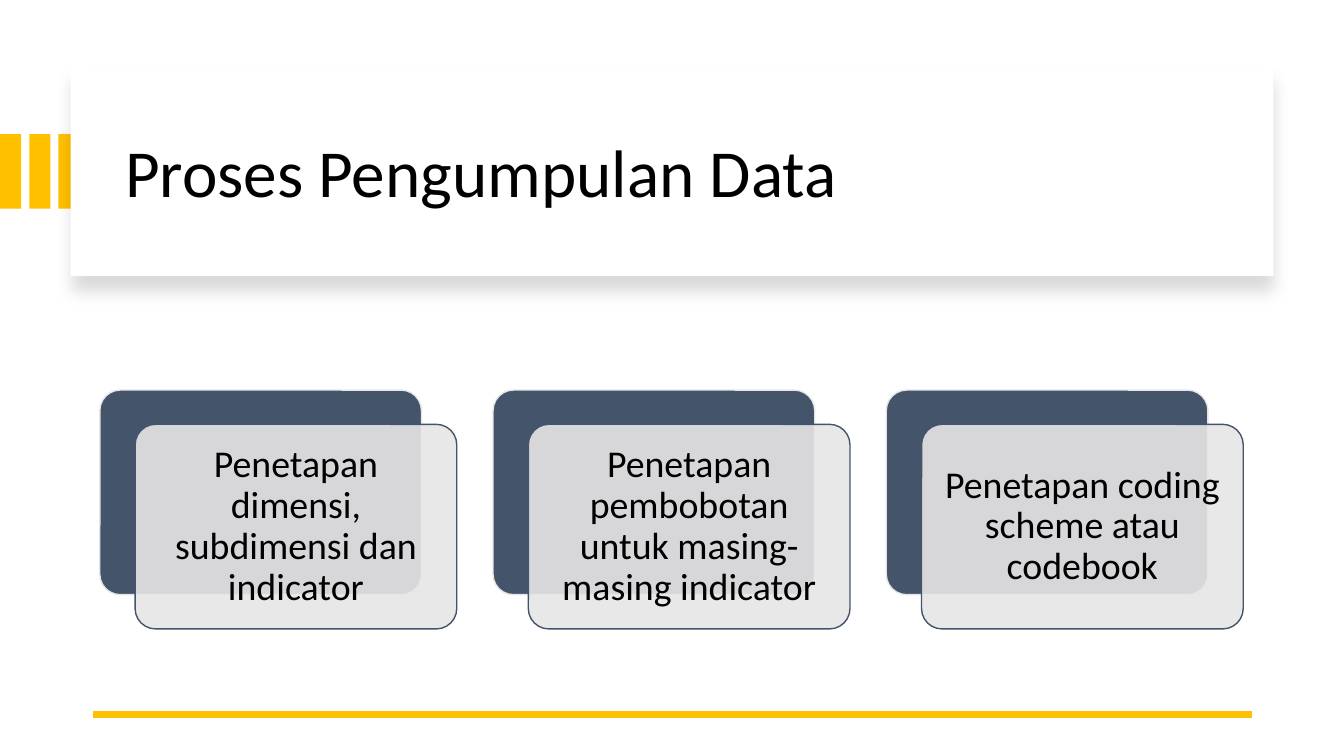
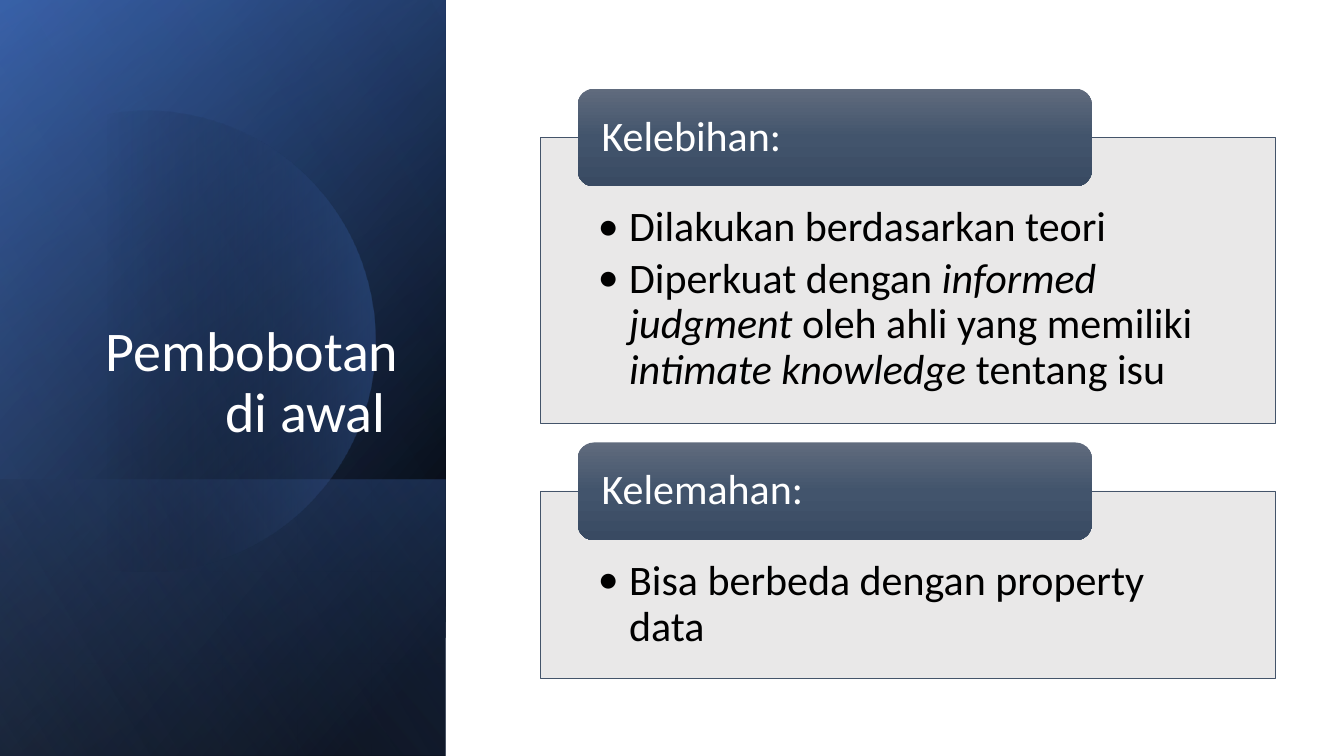
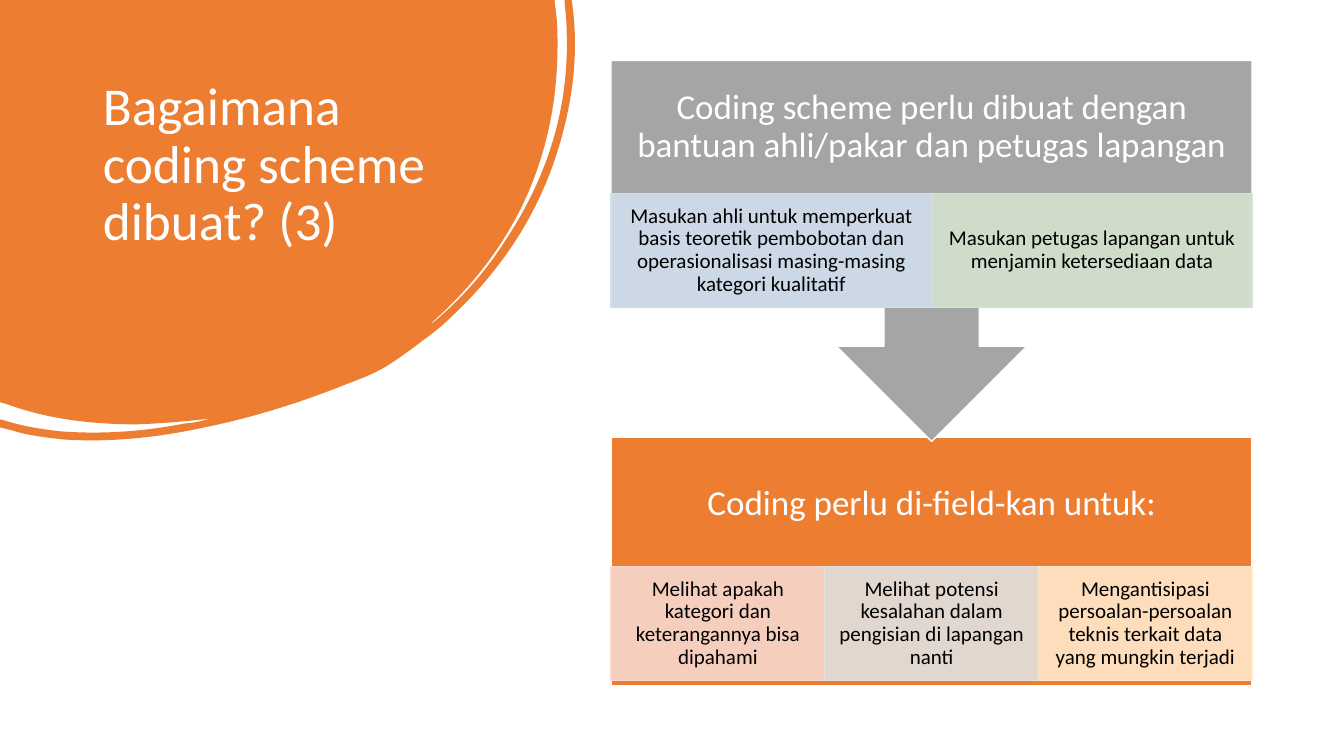
"""Build three slides on collecting, weighting and coding data."""
from dataclasses import dataclass
from typing import Optional

from pptx import Presentation
from pptx.dml.color import RGBColor
from pptx.enum.shapes import MSO_CONNECTOR, MSO_SHAPE as SHAPE
from pptx.enum.text import MSO_ANCHOR as ANCHOR, MSO_AUTO_SIZE, PP_ALIGN as ALIGN
from pptx.oxml.ns import qn
from pptx.oxml.xmlchemy import OxmlElement
from pptx.util import Inches, Pt

FONT = "Calibri"
C = {
    "black": "000000", "white": "FFFFFF", "yellow": "FFC000", "navy": "44546A",
    "gray": "E7E6E6", "orange": "ED7D31", "silver": "A5A5A5", "blue": "4472C4",
    "deep_blue": "2F5597", "light_blue": "8FAADC", "pill_top": "606B7D",
    "pill_mid": "42546C", "pill_low": "394A62", "ice": "D2DEEF", "mint": "D5E3CF",
    "rose": "F8D7CE", "ash": "E1E1E1", "cream": "FFE8CC",
}


@dataclass(frozen=True)
class Stop:
    pos: int
    color: str
    alpha: int = 100


@dataclass(frozen=True)
class Gradient:
    angle: int
    stops: tuple[Stop, ...]


@dataclass(frozen=True)
class Layer:
    top: float
    gradient: Gradient


@dataclass(frozen=True)
class Section:
    top: float
    height: float
    heading: str
    points: tuple[str, ...]


@dataclass(frozen=True)
class Cell:
    color: str
    text: str


@dataclass(frozen=True)
class Block:
    kind: SHAPE
    top: float
    height: float
    color: str
    heading: str
    cell_top: float
    cells: tuple[Cell, ...]


STEPS = (
    "Penetapan dimensi, subdimensi dan indicator",
    "Penetapan pembobotan untuk masing-masing indicator",
    "Penetapan coding scheme atau codebook",
)
LAYERS = (
    Layer(0, Gradient(220, (Stop(8, "black"), Stop(100, "deep_blue")))),
    Layer(0, Gradient(240, (Stop(0, "black", 0), Stop(99, "blue", 46)))),
    Layer(4.76, Gradient(140, (Stop(2, "blue", 29), Stop(100, "black", 30)))),
)
GLOW = Gradient(0, (Stop(29, "black", 0), Stop(100, "blue", 43)))
VEIL = Layer(0, Gradient(150, (Stop(0, "black", 0), Stop(99, "light_blue", 11))))
PILL = Gradient(90, (Stop(0, "pill_top"), Stop(50, "pill_mid"), Stop(100, "pill_low")))
SECTIONS = (
    Section(1.36, 2.84, "Kelebihan:", (
        "Dilakukan berdasarkan teori",
        "Diperkuat dengan *informed judgment *oleh ahli yang memiliki "
        "*intimate knowledge *tentang isu")),
    Section(4.87, 1.86, "Kelemahan:", ("Bisa berbeda dengan property data",)),
)
BLOCKS = (
    Block(SHAPE.RECTANGLE, 4.34, 2.46, "orange",
          "Coding perlu di-field-kan untuk:", 5.62, (
              Cell("rose", "Melihat apakah kategori dan keterangannya bisa dipahami"),
              Cell("ash", "Melihat potensi kesalahan dalam pengisian di lapangan nanti"),
              Cell("cream", "Mengantisipasi persoalan-persoalan teknis terkait data "
                            "yang mungkin terjadi"))),
    Block(SHAPE.DOWN_ARROW_CALLOUT, 0.6, 3.78, "silver",
          "Coding scheme perlu dibuat dengan bantuan ahli/pakar dan petugas lapangan",
          1.92, (
              Cell("ice", "Masukan ahli untuk memperkuat basis teoretik pembobotan dan "
                          "operasionalisasi masing-masing kategori kualitatif"),
              Cell("mint", "Masukan petugas lapangan untuk menjamin ketersediaan data"))),
)
CIRCLE = """M 1.49 1.1 C 2.46 1.12 3.35 1.77 3.63 2.75 C 3.98 3.97 3.28 5.23 2.07 5.58
C 1.31 5.8 0.53 5.61 -0.03 5.14 L -0.15 5.03 L -0.15 1.75 L 0 1.61
C 0.23 1.42 0.5 1.28 0.8 1.19 C 1.03 1.13 1.26 1.1 1.49 1.1"""
BLOB = """M 0 0 L 5.5 0 L 5.52 0.17 C 5.53 0.26 5.53 0.36 5.53 0.45
C 5.53 1.01 5.42 1.54 5.18 2.04 C 4.96 2.49 4.65 2.88 4.27 3.21
C 4.29 3.21 4.3 3.19 4.32 3.18 C 4.59 2.95 4.82 2.69 5.01 2.39
C 5.43 1.76 5.65 1.07 5.62 0.3 C 5.62 0.21 5.61 0.12 5.6 0.03 L 5.6 0 L 5.67 0
L 5.68 0.07 C 5.74 0.54 5.68 1.02 5.53 1.5 C 5.33 2.14 4.97 2.68 4.48 3.14
C 4.39 3.23 4.29 3.31 4.19 3.38 C 4.09 3.46 3.99 3.53 3.87 3.61
C 3.75 3.69 3.6 3.75 3.44 3.81 C 2.99 3.99 2.52 4.14 2.03 4.24
C 1.57 4.34 1.1 4.39 0.63 4.36 C 0.45 4.34 0.28 4.32 0.12 4.27 L 0 4.24 L 0 4.16
L 0.04 4.17 C 0.23 4.23 0.42 4.26 0.61 4.28 C 1.03 4.31 1.43 4.28 1.84 4.2
C 1.89 4.2 1.93 4.19 1.98 4.18 C 2.02 4.17 2.06 4.16 2.1 4.15
C 1.86 4.18 1.61 4.2 1.36 4.21 C 0.92 4.21 0.48 4.16 0.07 4.01 L 0 3.99"""


def rgb(name: str) -> RGBColor:
    return RGBColor.from_string(C[name])


def add_xml(parent, tag: str, **attrs):
    child = OxmlElement(tag)
    for key, value in attrs.items():
        child.set(key, str(value))
    parent.append(child)
    return child


def paint(sp, fill, line: Optional[str] = None, width: float = 1, alpha: int = 100):
    sp.shadow.inherit = False
    if isinstance(fill, Gradient):
        sp.fill.gradient()
        sp.fill.gradient_angle = (360 - fill.angle) % 360
        stops = sp.element.spPr.find(qn("a:gradFill")).find(qn("a:gsLst"))
        for old in list(stops):
            stops.remove(old)
        for stop in fill.stops:
            gs = add_xml(stops, "a:gs", pos=stop.pos * 1000)
            color = add_xml(gs, "a:srgbClr", val=C[stop.color])
            add_xml(color, "a:alpha", val=stop.alpha * 1000)
    else:
        sp.fill.solid()
        sp.fill.fore_color.rgb = rgb(fill)
        if alpha < 100:
            color = sp.element.spPr.find(qn("a:solidFill")).find(qn("a:srgbClr"))
            add_xml(color, "a:alpha", val=alpha * 1000)
    if line:
        sp.line.color.rgb = rgb(line)
        sp.line.width = Pt(width)
    else:
        sp.line.fill.background()
    return sp


def add_box(s, at, fill, kind=SHAPE.RECTANGLE, adj: Optional[float] = None, **style):
    sp = s.shapes.add_shape(kind, *map(Inches, at))
    if adj is not None:
        sp.adjustments[0] = adj
    return paint(sp, fill, **style)


def add_outline(s, route: str, fill):
    """Draw a closed outline whose C parts are Bezier curves."""
    segments = []
    for part in route.replace("C", "|C").replace("L", "|L").split("|"):
        nums = [Inches(float(n)) for n in part.split()[1:]]
        segments.append(list(zip(nums[::2], nums[1::2])))
    points = [point for segment in segments for point in segment]
    builder = s.shapes.build_freeform(*points[0])
    builder.add_line_segments(points[1:], close=True)
    sp = builder.convert_to_shape()
    outline = next(sp.element.iter(qn("a:path")))
    lines = iter(outline.findall(qn("a:lnTo")))
    for segment in segments[1:]:
        group = [next(lines) for _ in segment]
        if len(group) == 3:
            curve = OxmlElement("a:cubicBezTo")
            group[0].addprevious(curve)
            for line in group:
                curve.append(line[0])
                outline.remove(line)
    return paint(sp, fill)


def write(sp, *paragraphs: str, size: float, color: str = "black", align=ALIGN.LEFT,
          anchor=ANCHOR.MIDDLE, insets=(0.1, 0.05, 0.1, 0.05), bullet: bool = False,
          after: float = 0):
    """Write paragraphs; text between asterisks is italic."""
    tf = sp.text_frame
    tf.word_wrap = True
    tf.auto_size = MSO_AUTO_SIZE.NONE
    tf.vertical_anchor = anchor
    tf.margin_left, tf.margin_top, tf.margin_right, tf.margin_bottom = map(Inches, insets)
    for i, text in enumerate(paragraphs):
        p = tf.add_paragraph() if i else tf.paragraphs[0]
        p.alignment = align
        p.line_spacing = 0.9
        p.space_before = Pt(0)
        p.space_after = Pt(after)
        if bullet:
            p.level = 1
            ppr = p._p.get_or_add_pPr()
            ppr.set("marL", str(Inches(0.31)))
            ppr.set("indent", str(-Inches(0.31)))
            add_xml(ppr, "a:buFont", typeface=FONT)
            add_xml(ppr, "a:buChar", char="•")
        for j, piece in enumerate(text.split("*")):
            r = p.add_run()
            r.text = piece
            r.font.name = FONT
            r.font.size = Pt(size)
            r.font.color.rgb = rgb(color)
            if j % 2:
                r.font.italic = True


def add_title(s, text: str, at, **style):
    title = s.shapes.title
    title.left, title.top, title.width, title.height = map(Inches, at)
    title.element.getparent().append(title.element)
    write(title, text, **style)


def new_slide(prs):
    return prs.slides.add_slide(prs.slide_layouts[5])


def build_process(prs):
    s = new_slide(prs)
    for i in range(3):
        add_box(s, (i * 0.29, 1.33, 0.21, 0.74), "yellow")
    banner = add_box(s, (0.7, 0.67, 11.93, 2.07), "white")
    effects = banner.element.spPr.find(qn("a:effectLst"))
    shadow = add_xml(effects, "a:outerShdw", blurRad=Pt(11), dist=Pt(10),
                     dir=90 * 60000, algn="t", rotWithShape=0)
    add_xml(add_xml(shadow, "a:srgbClr", val=C["black"]), "a:alpha", val=15000)
    add_title(s, "Proses Pengumpulan Data", (1.14, 0.89, 11.13, 1.7), size=48)
    rule = s.shapes.add_connector(MSO_CONNECTOR.STRAIGHT, Inches(12.42), Inches(7.09),
                                  Inches(0.92), Inches(7.09))
    rule.line.color.rgb = rgb("yellow")
    rule.line.width = Pt(4.5)
    add_xml(rule.element.spPr, "a:effectLst")
    for i, step in enumerate(STEPS):
        left = 0.99 + i * 3.9
        add_box(s, (left, 3.87, 3.19, 2.03), "navy", SHAPE.ROUNDED_RECTANGLE, 0.1,
                line="gray")
        card = add_box(s, (left + 0.35, 4.21, 3.19, 2.03), "gray",
                       SHAPE.ROUNDED_RECTANGLE, 0.1, line="navy", alpha=90)
        write(card, step, size=27, align=ALIGN.CENTER, insets=(0.11,) * 4)


def build_weighting(prs):
    s = new_slide(prs)

    def add_layer(layer: Layer):
        add_box(s, (0, layer.top, 4.42, 7.5 - layer.top), layer.gradient)

    for layer in LAYERS:
        add_layer(layer)
    add_outline(s, CIRCLE, GLOW)
    add_layer(VEIL)
    add_title(s, "Pembobotan di awal ", (0.64, 1.84, 3.41, 2.62), size=40,
              color="white", align=ALIGN.RIGHT, anchor=ANCHOR.BOTTOM)
    for sec in SECTIONS:
        body = add_box(s, (5.36, sec.top, 7.29, sec.height), "gray", line="navy",
                       width=0.5, alpha=90)
        write(body, *sec.points, size=30, anchor=ANCHOR.TOP, bullet=True, after=4.5,
              insets=(0.57, 0.68, 0.57, 0.23))
        pill = add_box(s, (5.73, sec.top - 0.48, 5.1, 0.97), PILL,
                       SHAPE.ROUNDED_RECTANGLE)
        write(pill, sec.heading, size=30, color="white", insets=(0.19, 0, 0.19, 0))


def build_coding(prs):
    s = new_slide(prs)
    left, width = 6.06, 6.36
    add_outline(s, BLOB, "orange")
    add_title(s, "Bagaimana coding scheme dibuat? (3)", (0.92, 0.74, 3.52, 2.22),
              size=38, color="white", anchor=ANCHOR.TOP)
    for block in BLOCKS:
        sp = add_box(s, (left, block.top, width, block.height), block.color, block.kind,
                     line="white")
        write(sp, block.heading, size=25, color="white", align=ALIGN.CENTER,
              insets=(0.19, 0.19, 0.19, 1.32))
        cell_width = width / len(block.cells)
        for i, cell in enumerate(block.cells):
            sp = add_box(s, (left + i * cell_width, block.cell_top, cell_width, 1.13),
                         cell.color, line=cell.color, alpha=90)
            write(sp, cell.text, size=15, align=ALIGN.CENTER,
                  insets=(0.12, 0.02, 0.12, 0.02))


def main():
    prs = Presentation()
    prs.slide_width, prs.slide_height = Inches(13.33), Inches(7.5)
    for build in (build_process, build_weighting, build_coding):
        build(prs)
    prs.save("out.pptx")


if __name__ == "__main__":
    main()
